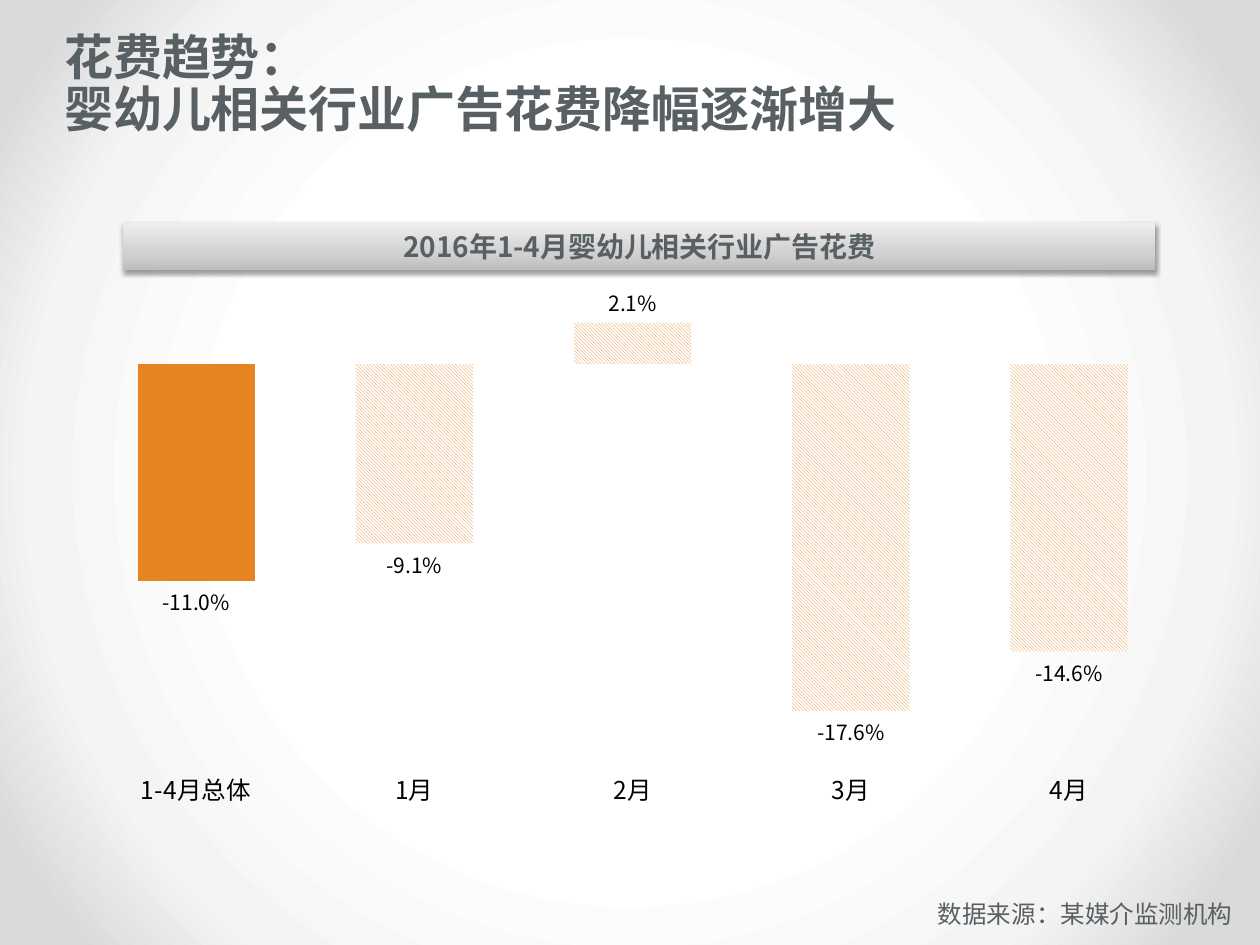
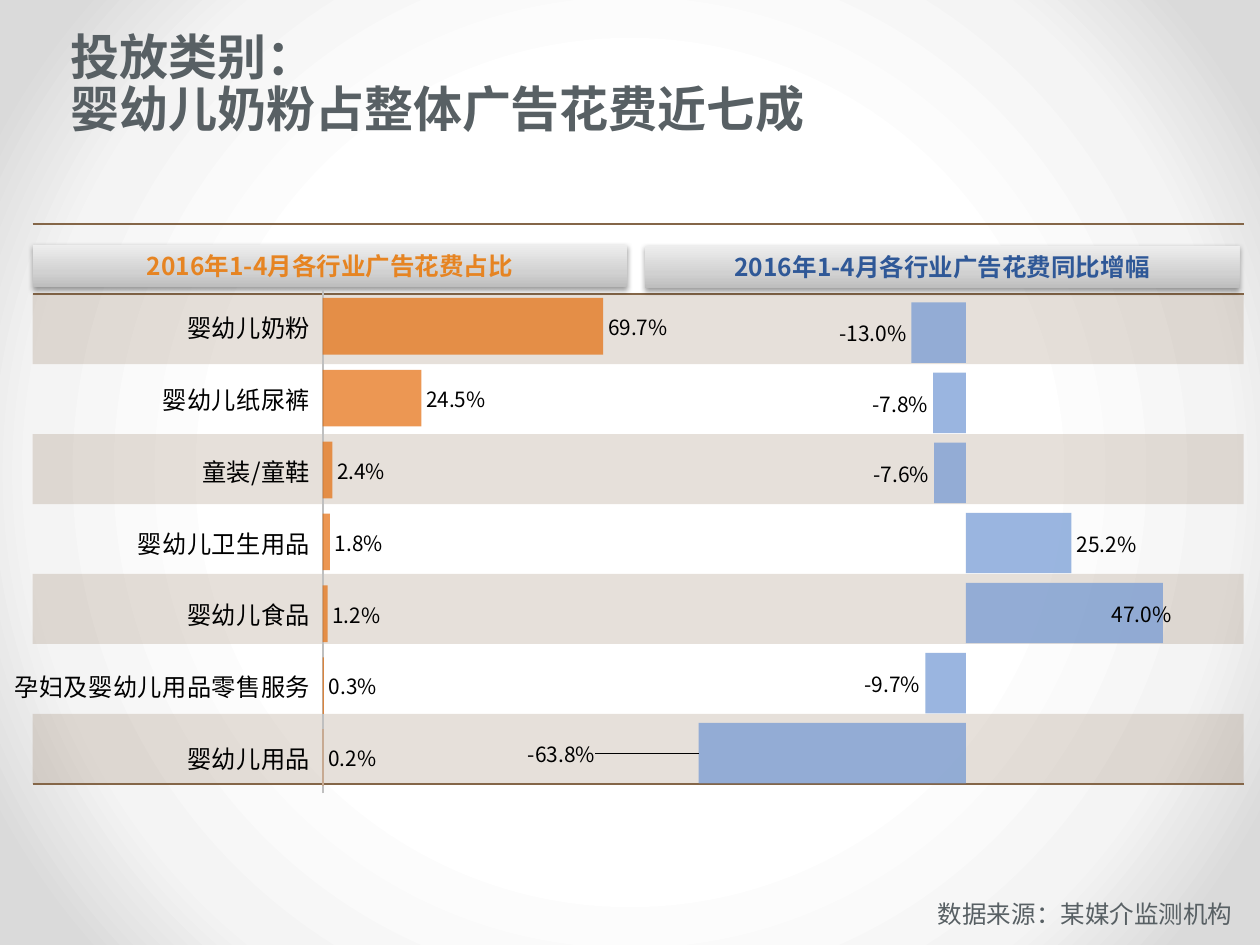
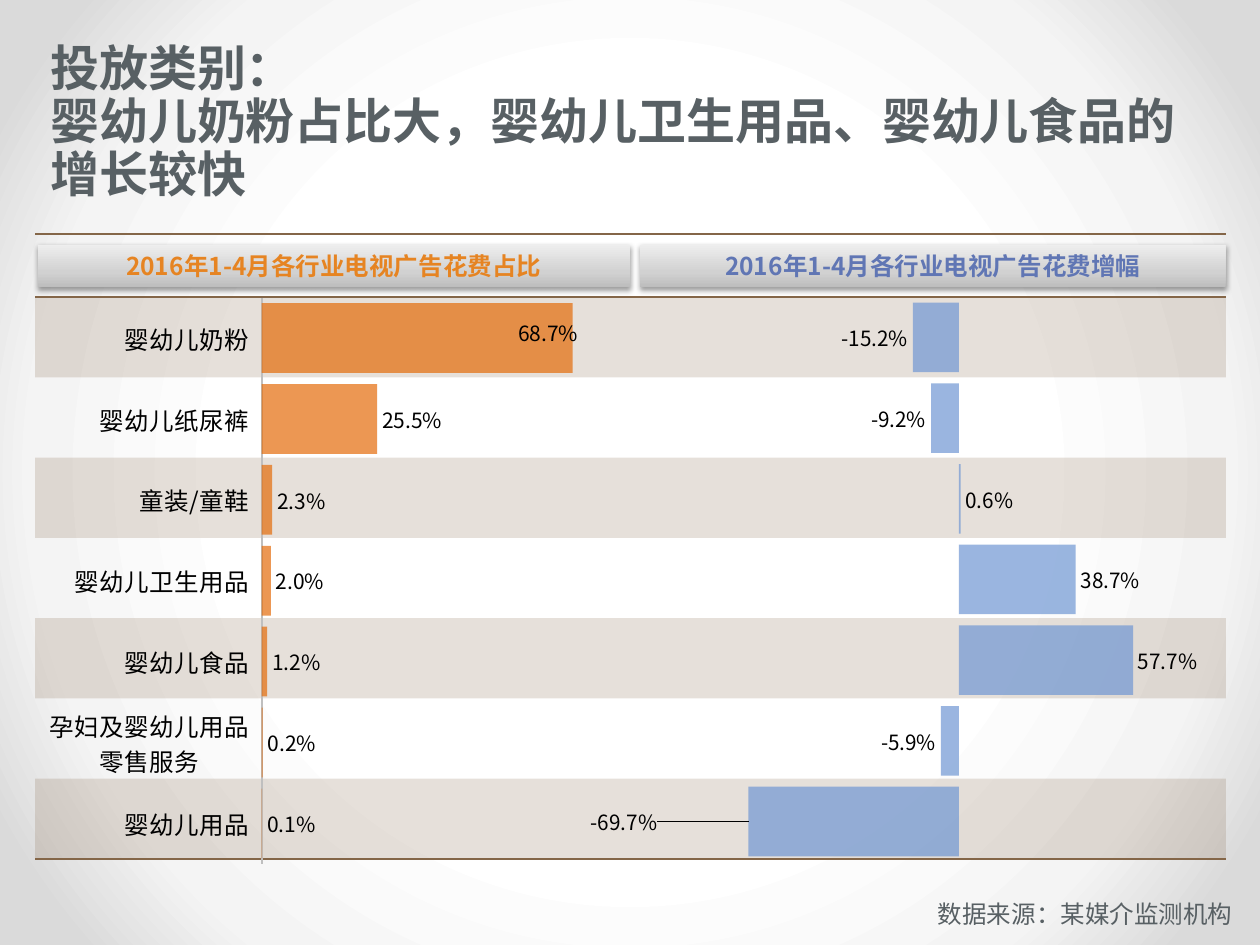
from lxml import etree
from pptx import Presentation
from pptx.chart.data import CategoryChartData
from pptx.dml.color import RGBColor
from pptx.enum.chart import XL_CHART_TYPE, XL_LABEL_POSITION, XL_TICK_LABEL_POSITION, XL_TICK_MARK
from pptx.enum.dml import MSO_PATTERN
from pptx.enum.shapes import MSO_SHAPE
from pptx.enum.text import MSO_ANCHOR, MSO_AUTO_SIZE, PP_ALIGN
from pptx.oxml import parse_xml
from pptx.oxml.ns import qn
from pptx.util import Cm, Pt

COLUMNS = XL_CHART_TYPE.COLUMN_CLUSTERED
BARS = XL_CHART_TYPE.BAR_CLUSTERED
OUTSIDE_END = XL_LABEL_POSITION.OUTSIDE_END
LOW = XL_TICK_LABEL_POSITION.LOW
NO_TICKS = XL_TICK_MARK.NONE
DIAGONAL = MSO_PATTERN.DARK_DOWNWARD_DIAGONAL
RECTANGLE = MSO_SHAPE.RECTANGLE
MIDDLE, BOTTOM = MSO_ANCHOR.MIDDLE, MSO_ANCHOR.BOTTOM
LEFT, CENTER, RIGHT = PP_ALIGN.LEFT, PP_ALIGN.CENTER, PP_ALIGN.RIGHT
FIXED_SIZE = MSO_AUTO_SIZE.NONE

BLACK = RGBColor(0x00, 0x00, 0x00)
WHITE = RGBColor(0xFF, 0xFF, 0xFF)
SLATE = RGBColor(0x58, 0x60, 0x64)
ORANGE = RGBColor(0xE6, 0x84, 0x22)
DEEP_ORANGE = RGBColor(0xE4, 0x6C, 0x0A)
NAVY = RGBColor(0x2F, 0x58, 0x97)
BLUE = RGBColor(0x60, 0x76, 0xB4)
SKY = RGBColor(0x70, 0x97, 0xD3)
BROWN = RGBColor(0x84, 0x66, 0x48)
AXIS_GREY = RGBColor(0xBF, 0xBF, 0xBF)

TITLE_FONT = "Montserrat"
BODY_FONT = "Noto Sans CJK SC"
DRAWING = "http://schemas.openxmlformats.org/drawingml/2006/main"
CHART = "http://schemas.openxmlformats.org/drawingml/2006/chart"
PERCENT = "0.0%"

BACKDROP_STOPS = [(50, "FFFFFF"), (76, "F4F4F4"), (92, "DADADA")]
BACKDROP_PATH = (
    '<a:path path="circle"><a:fillToRect l="50000" t="50000" r="50000" b="50000"/></a:path>'
)
BAND_STOPS = [(0, "BDBDBD"), (35, "D1D1D1"), (100, "EEEEEE")]
BAND_DIRECTION = '<a:lin ang="16200000" scaled="0"/>'
BAND_SHADOW = (
    f'<a:outerShdw xmlns:a="{DRAWING}" blurRad="39370" dist="20320" dir="5400000" '
    'rotWithShape="0"><a:srgbClr val="000000"><a:alpha val="38000"/></a:srgbClr></a:outerShdw>'
)
PLAIN_TABLE_STYLE = "{2D5ABB26-0587-4C30-8999-92F81FD0307C}"

SOURCE = "数据来源：某媒介监测机构"
INDUSTRIES = [
    "婴幼儿奶粉", "婴幼儿纸尿裤", "童装/童鞋", "婴幼儿卫生用品",
    "婴幼儿食品", "孕妇及婴幼儿用品零售服务", "婴幼儿用品",
]
RANKS = [str(rank) for rank in range(1, len(INDUSTRIES) + 1)]
GROWTH_PLOT = (0.109, 0.037, 0.87, 0.934)


def place(box):
    return [Cm(length) for length in box]


def set_gradient(fill, parent, stops, direction):
    fill.solid()
    stop_list = "".join(
        f'<a:gs pos="{position * 1000}"><a:srgbClr val="{colour}"/></a:gs>'
        for position, colour in stops
    )
    solid = parent.find(qn("a:solidFill"))
    parent.replace(solid, parse_xml(
        f'<a:gradFill xmlns:a="{DRAWING}" rotWithShape="1">'
        f"<a:gsLst>{stop_list}</a:gsLst>{direction}</a:gradFill>"
    ))


def set_alpha(element, percent):
    for colour in element.iter(qn("a:srgbClr")):
        etree.SubElement(colour, qn("a:alpha")).set("val", str(percent * 1000))


def set_east_asian_font(root):
    for latin in list(root.iter(qn("a:latin"))):
        east_asian = etree.Element(qn("a:ea"))
        east_asian.set("typeface", BODY_FONT)
        latin.addnext(east_asian)


def style_font(font, size, colour, bold=False, name=BODY_FONT):
    font.size = Pt(size)
    font.bold = bold
    font.color.rgb = colour
    font.name = name


def paint_backdrop(master):
    fill = master.background.fill
    fill.solid()
    properties = next(master.element.iter(qn("p:bgPr")))
    set_gradient(fill, properties, BACKDROP_STOPS, BACKDROP_PATH)


def add_page(deck, title_box, lines):
    page = deck.slides.add_slide(deck.slide_layouts[5])
    title = page.shapes.title
    title.left, title.top, title.width, title.height = place(title_box)
    frame = title.text_frame
    frame.auto_size = FIXED_SIZE
    frame.vertical_anchor = BOTTOM
    frame.text = "\n".join(lines)
    for paragraph in frame.paragraphs:
        paragraph.alignment = LEFT
        paragraph.line_spacing = 0.9
        style_font(paragraph.font, 28, SLATE, True, TITLE_FONT)
    return page


def add_source(page):
    box = page.shapes.add_textbox(*place((15.7, 18.14, 9.4, 0.71)))
    box.text_frame.word_wrap = True
    paragraph = box.text_frame.paragraphs[0]
    paragraph.text = SOURCE
    paragraph.alignment = RIGHT
    paragraph.line_spacing = Pt(13)
    style_font(paragraph.font, 14, SLATE)


def add_band(page, box, text, colour, size=14):
    band = page.shapes.add_shape(RECTANGLE, *place(box))
    properties = band._element.spPr
    set_gradient(band.fill, properties, BAND_STOPS, BAND_DIRECTION)
    band.line.fill.background()
    band.shadow.inherit = False
    properties.find(qn("a:effectLst")).append(parse_xml(BAND_SHADOW))
    frame = band.text_frame
    frame.word_wrap = True
    frame.vertical_anchor = MIDDLE
    paragraph = frame.paragraphs[0]
    paragraph.text = text
    paragraph.alignment = CENTER
    style_font(paragraph.font, size, colour, True)


def add_rule(cell, sides):
    properties = cell._tc.get_or_add_tcPr()
    for index, side in enumerate(sides):
        properties.insert(index, parse_xml(
            f'<a:{side} xmlns:a="{DRAWING}" w="12700"><a:solidFill>'
            f'<a:srgbClr val="{BROWN}"/></a:solidFill></a:{side}>'
        ))


def add_striped_table(page, box, head_height):
    row_count = len(INDUSTRIES) + 1
    table = page.shapes.add_table(row_count, 1, *place(box)).table
    table.first_row = False
    table.horz_banding = False
    table._tbl.tblPr.find(qn("a:tableStyleId")).text = PLAIN_TABLE_STYLE
    stripe_height = (box[3] - head_height) / len(INDUSTRIES)
    for index, row in enumerate(table.rows):
        row.height = Cm(stripe_height if index else head_height)
        cell = row.cells[0]
        if index % 2:
            cell.fill.solid()
            cell.fill.fore_color.rgb = BROWN
            set_alpha(cell._tc, 20)
        else:
            cell.fill.background()
    add_rule(table.cell(0, 0), ["lnT", "lnB"])
    add_rule(table.cell(row_count - 1, 0), ["lnB"])


def set_plot_area(chart, plot):
    area = next(chart._chartSpace.iter(qn("c:plotArea")))
    for layout in area.findall(qn("c:layout")):
        area.remove(layout)
    sizes = "".join(f'<c:{key} val="{value}"/>' for key, value in zip("xywh", plot))
    area.insert(0, parse_xml(
        f'<c:layout xmlns:c="{CHART}"><c:manualLayout><c:layoutTarget val="inner"/>'
        f'<c:xMode val="edge"/><c:yMode val="edge"/>{sizes}</c:manualLayout></c:layout>'
    ))


def move_label(series, index, shift):
    label = series.points[index].data_label
    style_font(label.font, 12, BLACK)
    label.position = OUTSIDE_END
    entry = next(
        item for item in series._element.iter(qn("c:dLbl"))
        if item.find(qn("c:idx")).get("val") == str(index)
    )
    entry.find(qn("c:idx")).addnext(parse_xml(
        f'<c:layout xmlns:c="{CHART}"><c:manualLayout>'
        f'<c:x val="{shift[0]}"/><c:y val="{shift[1]}"/></c:manualLayout></c:layout>'
    ))


def add_percent_chart(page, kind, box, categories, values, gap, plot, scale):
    data = CategoryChartData(number_format=PERCENT)
    data.categories = categories
    data.add_series("Series 1", values)
    chart = page.shapes.add_chart(kind, *place(box), data).chart
    chart.has_title = False
    chart.has_legend = False
    style_font(chart.font, 14, BLACK)
    set_plot_area(chart, plot)

    value_axis = chart.value_axis
    value_axis.minimum_scale, value_axis.maximum_scale = scale
    value_axis.has_major_gridlines = False
    value_axis.visible = False
    category_axis = chart.category_axis
    category_axis.tick_label_position = LOW
    category_axis.major_tick_mark = NO_TICKS
    style_font(category_axis.tick_labels.font, 14, BLACK)

    bars = chart.plots[0]
    bars.gap_width = gap
    bars.vary_by_categories = False
    bars.has_data_labels = True
    labels = bars.data_labels
    labels.show_value = True
    labels.number_format = PERCENT
    labels.number_format_is_linked = False
    labels.position = OUTSIDE_END
    style_font(labels.font, 12, BLACK)
    bars.series[0].invert_if_negative = False
    return chart


def add_trend_chart(page, box, categories, values):
    chart = add_percent_chart(
        page, COLUMNS, box, categories, values, 86, (0.02, 0.02, 0.96, 0.88), (-0.2, 0.05)
    )
    chart.plots[0].overlap = -25
    chart.category_axis.format.line.fill.background()
    series = chart.plots[0].series[0]
    fill = series.format.fill
    fill.patterned()
    fill.pattern = DIAGONAL
    fill.fore_color.rgb = ORANGE
    fill.back_color.rgb = WHITE
    total = series.points[0].format.fill
    total.solid()
    total.fore_color.rgb = ORANGE
    set_east_asian_font(chart._chartSpace)


def add_industry_chart(page, box, categories, values, colour, gap, plot, scale, shifts):
    chart = add_percent_chart(page, BARS, box, categories, values, gap, plot, scale)
    axis = chart.category_axis
    axis.reverse_order = True
    if categories is RANKS:
        axis.visible = False
    else:
        axis.format.line.color.rgb = AXIS_GREY
        axis.format.line.width = Pt(1.25)
    series = chart.plots[0].series[0]
    series.format.fill.solid()
    series.format.fill.fore_color.rgb = colour
    set_alpha(series._element, 70)
    if shifts:
        labels = series.data_labels
        labels.show_value = True
        labels.number_format = PERCENT
        labels.number_format_is_linked = False
        labels.position = OUTSIDE_END
        style_font(labels.font, 12, BLACK)
    for index, shift in shifts.items():
        move_label(series, index, shift)
    set_east_asian_font(chart._chartSpace)


def add_share_chart(page, box, values, gap, plot, shifts):
    add_industry_chart(
        page, box, INDUSTRIES, values, DEEP_ORANGE, gap, plot, (0, 0.8), shifts
    )


def add_growth_chart(page, box, values, scale, shifts):
    add_industry_chart(page, box, RANKS, values, SKY, 16, GROWTH_PLOT, scale, shifts)


def build_trend_page(deck):
    page = add_page(
        deck, (1.04, 0.51, 23.16, 2.41), ["花费趋势：", "婴幼儿相关行业广告花费降幅逐渐增大"]
    )
    add_trend_chart(
        page, (1.3, 5.13, 22.91, 11.28),
        ["1-4月总体", "1月", "2月", "3月", "4月"],
        [-0.11, -0.091, 0.021, -0.176, -0.146],
    )
    add_band(page, (2.49, 4.5, 20.8, 0.94), "2016年1-4月婴幼儿相关行业广告花费", SLATE, 16)


def build_all_media_page(deck):
    page = add_page(
        deck, (1.17, 0.51, 24.13, 2.41), ["投放类别：", "婴幼儿奶粉占整体广告花费近七成"]
    )
    add_striped_table(page, (0.66, 4.52, 24.41, 11.28), 1.41)
    add_band(page, (0.66, 4.93, 11.99, 0.86), "2016年1-4月各行业广告花费占比", ORANGE)
    add_share_chart(
        page, (0.25, 5.03, 13.21, 11.46),
        [0.697, 0.245, 0.024, 0.018, 0.012, 0.003, 0.002],
        27, (0.479, 0.072, 0.497, 0.885), {},
    )
    add_band(page, (13, 4.95, 11.99, 0.86), "2016年1-4月各行业广告花费同比增幅", NAVY)
    add_growth_chart(
        page, (10.64, 5.61, 14.2, 10.59),
        [-0.13, -0.078, -0.076, 0.252, 0.47, -0.097, -0.638],
        (-0.86, 0.6), {4: (-0.08, 0), 6: (-0.14, 0)},
    )


def build_television_page(deck):
    page = add_page(
        deck, (0.76, 0.74, 24.13, 3.48),
        ["投放类别：", "婴幼儿奶粉占比大，婴幼儿卫生用品、婴幼儿食品的增长较快"],
    )
    add_striped_table(page, (0.71, 4.72, 24, 12.6), 1.27)
    add_band(page, (0.76, 4.93, 11.94, 0.86), "2016年1-4月各行业电视广告花费占比", ORANGE)
    add_share_chart(
        page, (0.84, 5.54, 11.99, 12.4),
        [0.687, 0.255, 0.023, 0.02, 0.012, 0.002, 0.001],
        16, (0.37, 0.037, 0.609, 0.921), {0: (-0.1, -0.01)},
    )
    add_band(page, (12.9, 4.93, 11.81, 0.86), "2016年1-4月各行业电视广告花费增幅", BLUE)
    add_growth_chart(
        page, (11.91, 5.54, 12.55, 12.19),
        [-0.152, -0.092, 0.006, 0.387, 0.577, -0.059, -0.697],
        (-0.97, 0.8), {6: (-0.14, 0)},
    )


def main():
    deck = Presentation()
    deck.slide_width, deck.slide_height = Cm(25.4), Cm(19.05)
    paint_backdrop(deck.slide_master)
    build_trend_page(deck)
    build_all_media_page(deck)
    build_television_page(deck)
    for page in deck.slides:
        add_source(page)
        set_east_asian_font(page.element)
    deck.save("out.pptx")


if __name__ == "__main__":
    main()
